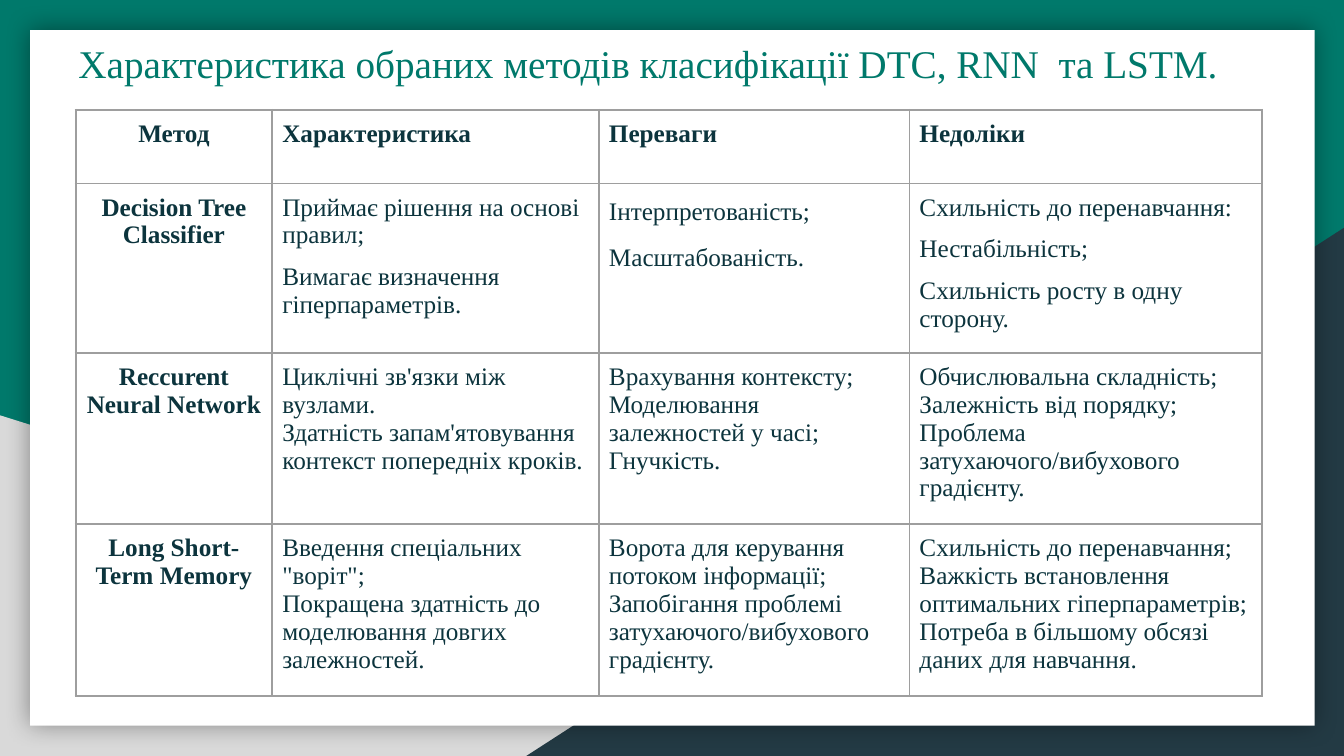
from dataclasses import dataclass

from lxml import etree
from pptx import Presentation
from pptx.dml.color import RGBColor
from pptx.enum.shapes import MSO_SHAPE
from pptx.enum.text import MSO_ANCHOR, PP_ALIGN
from pptx.oxml.ns import qn
from pptx.util import Inches, Pt

TRIANGLE = MSO_SHAPE.RIGHT_TRIANGLE
RECTANGLE = MSO_SHAPE.RECTANGLE
CENTER, LEFT = PP_ALIGN.CENTER, PP_ALIGN.LEFT
TOP = MSO_ANCHOR.TOP

FONT = "Times New Roman"
GREEN, INK, BORDER = "00796B", "0C343D", "9E9E9E"
MARGIN = Inches(0.1)
COLUMN_WIDTHS = (1.95, 3.24, 3.08, 3.5)
ROW_HEIGHTS = (0.73, 1.68, 1.7, 1.7)


@dataclass(frozen=True)
class Panel:
    kind: MSO_SHAPE
    left: float
    top: float
    width: float
    height: float
    color: str
    flipped: bool = False
    shadowed: bool = False


@dataclass(frozen=True)
class Entry:
    """Paragraphs of one cell; gaps are the points above each of them."""
    lines: tuple[str, ...]
    first_gap: int = 0
    next_gap: int = 0
    line_spacing: float = 1.0


PANELS = (
    Panel(TRIANGLE, 0, 4.12, 10.75, 3.38, "D9D9D9"),
    Panel(TRIANGLE, 5.22, 2.26, 8.11, 5.24, "233A44", flipped=True),
    Panel(RECTANGLE, 0.3, 0.3, 12.74, 6.9, "FFFFFF", shadowed=True),
)

ROWS = (
    (Entry(("Метод",)), Entry(("Характеристика",)), Entry(("Переваги",)), Entry(("Недоліки",))),
    (
        Entry(("Decision Tree Classifier",)),
        Entry(("Приймає рішення на основі правил;", "Вимагає визначення гіперпараметрів."),
              next_gap=10),
        Entry(("Інтерпретованість;", "Масштабованість."),
              first_gap=10, next_gap=10, line_spacing=1.15),
        Entry(("Схильність до перенавчання:", "Нестабільність;", "Схильність росту в одну сторону."),
              next_gap=10),
    ),
    (
        Entry(("Reccurent Neural Network",)),
        Entry(("Циклічні зв'язки між вузлами.",
               "Здатність запам'ятовування контекст попередніх кроків.")),
        Entry(("Врахування контексту;", "Моделювання залежностей у часі;\vГнучкість.")),
        Entry(("Обчислювальна складність;", "Залежність від порядку;",
               "Проблема затухаючого/вибухового градієнту.")),
    ),
    (
        Entry(("Long Short-Term Memory",)),
        Entry(('Введення спеціальних "воріт";',
               "Покращена здатність до моделювання довгих залежностей.")),
        Entry(("Ворота для керування потоком інформації;",
               "Запобігання проблемі затухаючого/вибухового градієнту.")),
        Entry(("Схильність до перенавчання;", "Важкість встановлення оптимальних гіперпараметрів;",
               "Потреба в більшому обсязі даних для навчання.")),
    ),
)


def paint(target, color: str) -> None:
    """Give a fill one solid colour."""
    target.solid()
    target.fore_color.rgb = RGBColor.from_string(color)


def format_spans(para, size: int, color: str, bold: bool = False) -> None:
    for span in para.runs:
        span.font.name = FONT
        span.font.size = Pt(size)
        span.font.bold = bold
        paint(span.font.fill, color)


def add_soft_shadow(shape) -> None:
    effects = shape._element.spPr.find(qn("a:effectLst"))
    shadow = etree.SubElement(effects, qn("a:outerShdw"), blurRad=str(Pt(18)),
                              dist="0", dir="0", algn="ctr", rotWithShape="0")
    color = etree.SubElement(shadow, qn("a:srgbClr"), val="000000")
    etree.SubElement(color, qn("a:alpha"), val="40000")


def add_panel(page, panel: Panel) -> None:
    shape = page.shapes.add_shape(panel.kind, Inches(panel.left), Inches(panel.top),
                                  Inches(panel.width), Inches(panel.height))
    paint(shape.fill, panel.color)
    shape.line.fill.background()
    shape.shadow.inherit = False
    if panel.flipped:
        shape._element.spPr.xfrm.set("flipH", "1")
    if panel.shadowed:
        add_soft_shadow(shape)


def add_title(page, text: str) -> None:
    box = page.shapes.add_textbox(Inches(0.68), Inches(0.29), Inches(11.83), Inches(0.67))
    frame = box.text_frame
    frame.word_wrap = True
    frame.margin_left = frame.margin_right = MARGIN
    frame.margin_top = frame.margin_bottom = MARGIN
    frame.text = text
    format_spans(frame.paragraphs[0], 28, GREEN)


def add_borders(cell) -> None:
    properties = cell._tc.get_or_add_tcPr()
    for position, side in enumerate(("lnL", "lnR", "lnT", "lnB")):
        line = etree.Element(qn(f"a:{side}"), w=str(Pt(1.5)))
        fill = etree.SubElement(line, qn("a:solidFill"))
        etree.SubElement(fill, qn("a:srgbClr"), val=BORDER)
        properties.insert(position, line)


def fill_cell(cell, entry: Entry, bold: bool, alignment: PP_ALIGN) -> None:
    cell.margin_left = cell.margin_right = MARGIN
    cell.margin_top = cell.margin_bottom = MARGIN
    cell.vertical_anchor = TOP
    cell.fill.background()
    add_borders(cell)
    frame = cell.text_frame
    for index, line in enumerate(entry.lines):
        para = frame.add_paragraph() if index else frame.paragraphs[0]
        para.text = line
        para.alignment = alignment
        para.space_before = Pt(entry.next_gap if index else entry.first_gap)
        para.line_spacing = entry.line_spacing
        format_spans(para, 18, INK, bold)


def add_methods_table(page) -> None:
    frame = page.shapes.add_table(len(ROW_HEIGHTS), len(COLUMN_WIDTHS), Inches(0.75), Inches(1.09),
                                  Inches(sum(COLUMN_WIDTHS)), Inches(sum(ROW_HEIGHTS)))
    table = frame.table
    table.first_row = table.horz_banding = False
    for column, width in zip(table.columns, COLUMN_WIDTHS):
        column.width = Inches(width)
    for row, height in zip(table.rows, ROW_HEIGHTS):
        row.height = Inches(height)
    for row_index, entries in enumerate(ROWS):
        for column_index, entry in enumerate(entries):
            heading = row_index == 0 or column_index == 0
            alignment = LEFT if column_index else CENTER
            fill_cell(table.cell(row_index, column_index), entry, heading, alignment)


def main() -> None:
    deck = Presentation()
    deck.slide_width, deck.slide_height = Inches(13.33), Inches(7.5)
    page = deck.slides.add_slide(deck.slide_layouts[6])
    paint(page.background.fill, GREEN)
    for panel in PANELS:
        add_panel(page, panel)
    add_title(page, "Характеристика обраних методів класифікації DTC, RNN  та LSTM.")
    add_methods_table(page)
    deck.save("out.pptx")


if __name__ == "__main__":
    main()
